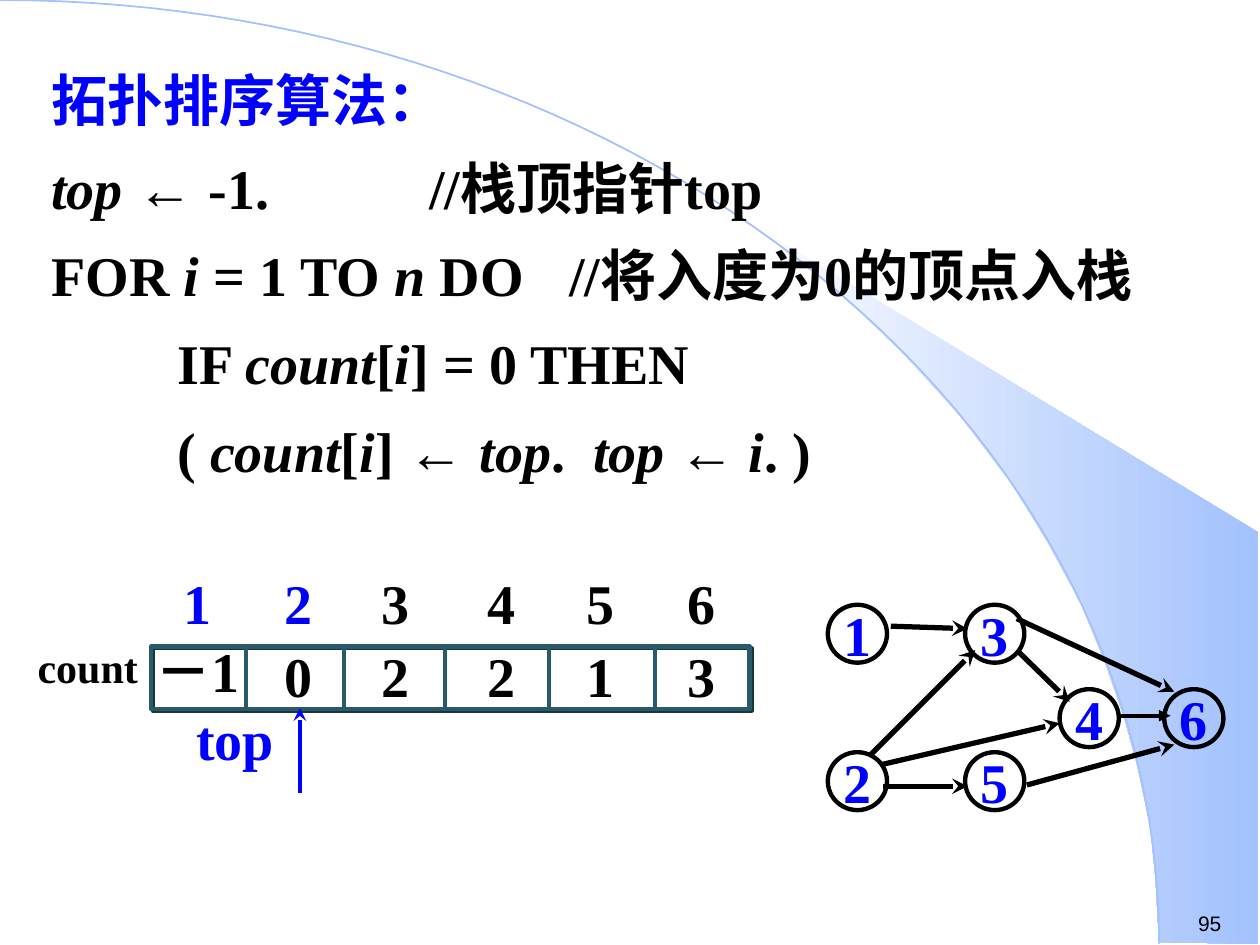
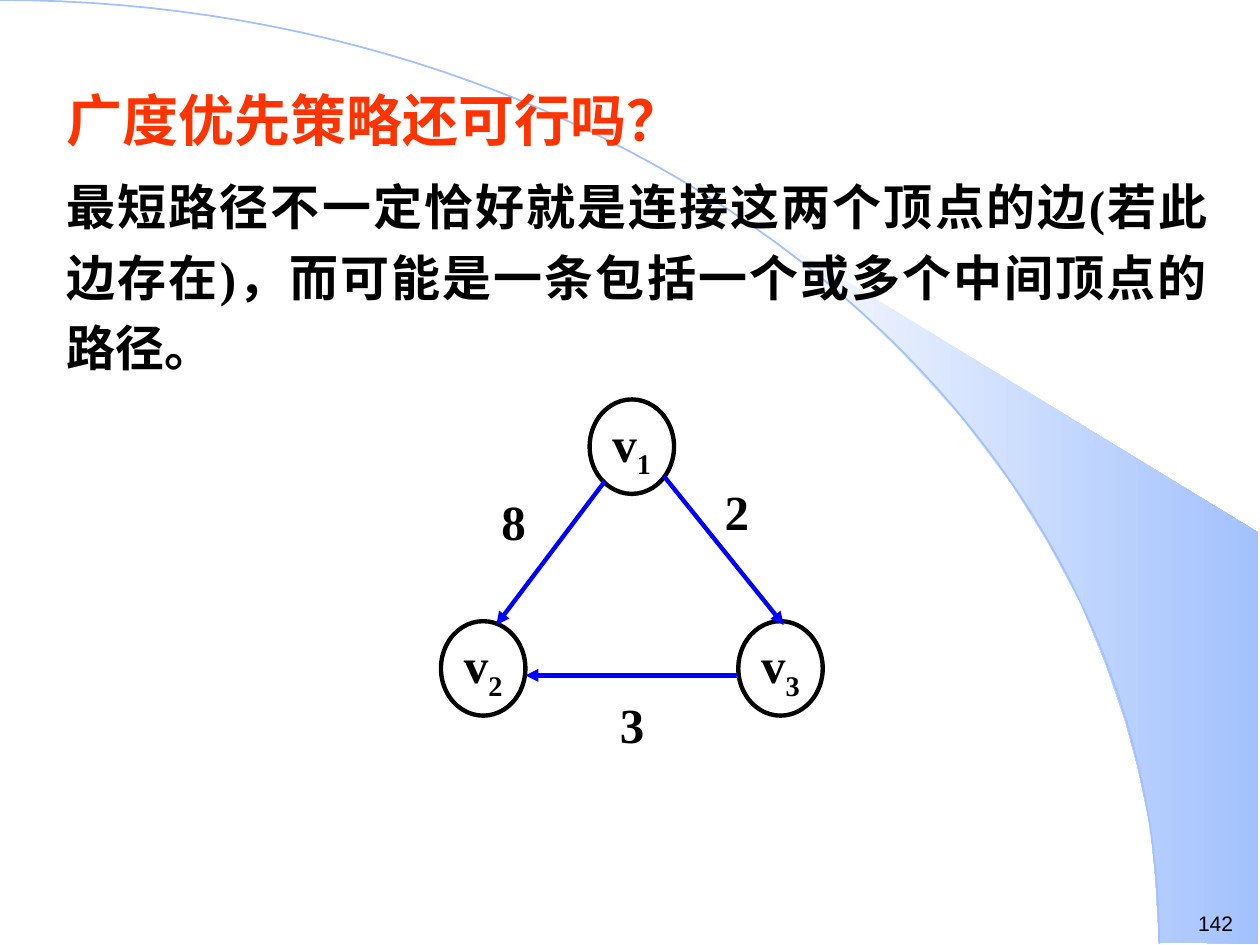
from dataclasses import dataclass
from math import cos, pi, sin

from lxml.etree import SubElement as Sub
from pptx import Presentation
from pptx.dml.color import RGBColor as RGB
from pptx.enum.shapes import MSO_CONNECTOR as LINK, MSO_SHAPE as SHAPE
from pptx.enum.text import MSO_ANCHOR as ANCHOR, PP_ALIGN as ALIGN
from pptx.oxml.ns import qn
from pptx.util import Inches, Pt

COLORS = {
    "black": "000000", "white": "FFFFFF", "blue": "0000FF", "red": "FF3300",
    "sky": "A2C1FE", "teal": "295A69", "shade": "19363F",
}
SERIF, SANS = "Times New Roman", "Arial"
VARS = {"top", "i", "n", "count"}


@dataclass
class Label:
    text: str
    x: float
    y: float
    w: float
    h: float = 0.64
    size: float = 32
    color: str = "black"
    align: ALIGN = ALIGN.LEFT
    inset: float = 0.1
    face: str = SERIF
    bold: bool = True


@dataclass
class Node:
    name: str
    x: float
    y: float
    w: float = 0.47
    h: float = 0.46
    size: float = 32
    color: str = "blue"
    sub: str = ""


@dataclass
class Edge:
    x1: float
    y1: float
    x2: float
    y2: float
    width: float = 3
    color: str = "black"
    head: str = "stealth"


def rgb(name: str) -> RGB:
    return RGB.from_string(COLORS[name])


def style(para, size: float, color: str, face: str = SERIF, bold: bool = True) -> None:
    font = para.font
    font.name, font.size, font.bold = face, Pt(size), bold
    font.color.rgb = rgb(color)


def setup(frame, side: float, edge: float, anchor: ANCHOR) -> None:
    frame.word_wrap = True
    frame.vertical_anchor = anchor
    frame.margin_left = frame.margin_right = Inches(side)
    frame.margin_top = frame.margin_bottom = Inches(edge)


def outline(shape, color: str, width: float) -> None:
    shape.fill.background()
    shape.line.color.rgb = rgb(color)
    shape.line.width = Pt(width)
    shape.shadow.inherit = False


def add_label(slide, item: Label):
    box = slide.shapes.add_textbox(*map(Inches, (item.x, item.y, item.w, item.h)))
    setup(box.text_frame, item.inset, item.inset / 2, ANCHOR.TOP)
    para = box.text_frame.paragraphs[0]
    para.text = item.text
    para.alignment = item.align
    style(para, item.size, item.color, item.face, item.bold)
    return box


def add_node(slide, node: Node) -> None:
    oval = slide.shapes.add_shape(
        SHAPE.OVAL, *map(Inches, (node.x, node.y, node.w, node.h)))
    outline(oval, "black", 2.5)
    setup(oval.text_frame, 0, 0, ANCHOR.MIDDLE)
    para = oval.text_frame.paragraphs[0]
    para.alignment = ALIGN.CENTER
    style(para, node.size, node.color)
    para.add_run().text = node.name
    if node.sub:
        low = para.add_run()
        low.text = node.sub
        low.font.bold = True
        oval.element.xpath(".//a:rPr")[-1].set("baseline", "-25000")


def add_edge(slide, edge: Edge) -> None:
    ends = map(Inches, (edge.x1, edge.y1, edge.x2, edge.y2))
    link = slide.shapes.add_connector(LINK.STRAIGHT, *ends)
    link.line.color.rgb = rgb(edge.color)
    link.line.width = Pt(edge.width)
    if edge.head:
        Sub(link.line._get_or_add_ln(), qn("a:tailEnd"), type=edge.head)
    Sub(link.element.spPr, qn("a:effectLst"))


def add_path(slide, points: list, close: bool):
    start, *rest = [(Inches(x), Inches(y)) for x, y in points]
    pen = slide.shapes.build_freeform(*start)
    pen.add_line_segments(rest, close=close)
    shape = pen.convert_to_shape()
    shape.shadow.inherit = False
    return shape


def set_backdrop(layout, slide) -> None:
    """Draw the band and arc once and move them to the shared layout."""
    for spot in list(layout.placeholders):
        if spot.placeholder_format.idx >= 10:
            spot.element.getparent().remove(spot.element)
    band = add_path(slide, [
        (9.2, 7.48), (9.99, 7.49), (9.99, 4.23), (5.89, 1.73), (6.24, 1.99),
        (6.53, 2.22), (6.85, 2.5), (7.16, 2.8), (7.62, 3.3), (8.03, 3.84),
        (8.32, 4.31), (8.58, 4.79), (8.78, 5.28), (8.93, 5.72), (9.03, 6.09),
        (9.13, 6.56), (9.17, 6.96)], True)
    band.fill.gradient()
    band.fill.gradient_angle = 0
    for stop, name in zip(band.fill.gradient_stops, ("white", "sky")):
        stop.color.rgb = rgb(name)
    band.line.fill.background()
    steps = 60
    turns = [pi / 2 * k / steps for k in range(steps + 1)]
    arc = add_path(slide, [(9.2 * sin(t), 7.49 * (1 - cos(t))) for t in turns], False)
    outline(arc, "sky", 1)
    for shape in (band, arc):
        layout.shapes.element.append(shape.element)


def add_title(slide, text: str, x: float, y: float, color: str) -> None:
    title = slide.shapes.title
    title.left, title.top, title.width, title.height = map(Inches, (x, y, 9.14, 0.7))
    setup(title.text_frame, 0.1, 0.05, ANCHOR.TOP)
    para = title.text_frame.paragraphs[0]
    para.text = text
    para.alignment = ALIGN.LEFT
    para.line_spacing = 1.2
    style(para, 32, color)


def add_page(slide, number: int) -> None:
    add_label(slide, Label(str(number), 9.41, 7.18, 0.59, 0.3, 12, face=SANS, bold=False))


def add_code(slide, lines: list, x: float, y: float) -> None:
    """Write code lines; bars part the runs, and variables are italic."""
    box = slide.shapes.add_textbox(*map(Inches, (x, y, 9.14, 2.82)))
    frame = box.text_frame
    setup(frame, 0.1, 0.05, ANCHOR.TOP)
    for row, line in enumerate(lines):
        para = frame.add_paragraph() if row else frame.paragraphs[0]
        tabs = Sub(box.element.xpath(".//a:p")[-1].get_or_add_pPr(), qn("a:tabLst"))
        for stop in range(1, 8):
            Sub(tabs, qn("a:tab"), pos=str(Inches(stop)), algn="l")
        para.line_spacing = 1.2
        if row:
            para.space_before = Pt(4)
        style(para, 32, "black")
        for part in line.split("|"):
            run = para.add_run()
            run.text = part
            run.font.italic = part.strip() in VARS
            run.font.name = SANS if "←" in part else SERIF


def add_array(slide) -> None:
    """Draw the count array with its index row and stack pointer."""
    top, high = 5.13, 0.5
    frame = slide.shapes.add_shape(SHAPE.RECTANGLE, *map(Inches, (1.2, top, 4.75, high)))
    outline(frame, "teal", 2.5)
    cast = Sub(frame.element.spPr.find(qn("a:effectLst")), qn("a:outerShdw"),
               dist=str(Pt(1.4)), dir="2700000", algn="ctr", rotWithShape="0")
    Sub(cast, qn("a:srgbClr"), val=COLORS["shade"])
    for x in (1.95, 2.73, 3.53, 4.36, 5.2):
        add_edge(slide, Edge(x, top, x, top + high, 2.25, "teal", ""))
    mids = (1.57, 2.37, 3.14, 3.98, 4.77, 5.57)
    for index, (mid, value) in enumerate(zip(mids, ("－1", "0", "2", "2", "1", "3")), 1):
        tone = "blue" if index < 3 else "black"
        drop = 5 if index == 1 else 5.04
        for text, y, color in ((str(index), 4.46, tone), (value, drop, "black")):
            add_label(slide, Label(text, mid - 0.54, y, 1.08, color=color, align=ALIGN.CENTER))
    add_label(slide, Label("count", 0.2, 5.04, 1.25, 0.5, 24))
    add_label(slide, Label("top", 1.46, 5.54, 1, color="blue"))
    add_edge(slide, Edge(2.38, 6.29, 2.38, 5.62, 2.5, "blue"))


def build_sort(slide) -> None:
    add_title(slide, "拓扑排序算法：", 0.31, 0.36, "blue")
    add_array(slide)
    add_code(slide, [
        "top |← |-1.\t\t//栈顶指针top",
        "FOR |i |= 1 TO |n| DO\t //将入度为0的顶点入栈",
        "\tIF |count|[|i|] = 0 THEN",
        "\t( |count|[|i|] |← |top|.  |top |←| i|. )",
    ], 0.31, 1.06)
    # Directed graph
    for node in (Node("1", 6.57, 4.8), Node("3", 7.66, 4.8), Node("4", 8.41, 5.47),
                 Node("6", 9.24, 5.47), Node("2", 6.57, 5.97), Node("5", 7.66, 5.97)):
        add_node(slide, node)
    for edge in (Edge(7.07, 4.97, 7.68, 4.99), Edge(7.01, 6.24, 7.68, 6.24),
                 Edge(6.99, 6.07, 8.41, 5.74), Edge(6.91, 5.99, 7.74, 5.16),
                 Edge(8.07, 5.16, 8.49, 5.57), Edge(8.15, 6.23, 9.32, 5.91),
                 Edge(8.07, 4.91, 9.32, 5.49),
                 Edge(8.89, 5.68, 9.29, 5.68, 2.25, head="triangle")):
        add_edge(slide, edge)
    add_page(slide, 95)


def build_path(slide) -> None:
    add_title(slide, "广度优先策略还可行吗？", 0.43, 0.52, "red")
    body = add_label(slide, Label(
        "最短路径不一定恰好就是连接这两个顶点的边(若此边存在)，"
        "而可能是一条包括一个或多个中间顶点的路径。",
        0.43, 1.26, 9.25, 1.9, 28, align=ALIGN.JUSTIFY))
    body.text_frame.paragraphs[0].line_spacing = 1.2
    # Weighted triangle
    for sub, x, y in (("1", 4.68, 3.17), ("2", 3.5, 4.93), ("3", 5.86, 4.93)):
        add_node(slide, Node("v", x, y, 0.67, 0.75, 28, "black", sub))
    for ends in ((4.8, 3.82, 3.94, 4.96), (5.27, 3.78, 6.22, 4.96),
                 (5.86, 5.36, 4.17, 5.36)):
        add_edge(slide, Edge(*ends, 2.5, "blue", "triangle"))
    for cost, x, y in (("2", 5.75, 3.82), ("8", 3.98, 3.9), ("3", 4.92, 5.51)):
        add_label(slide, Label(cost, x, y, 0.28, 0.47, 28, inset=0))
    add_page(slide, 142)


def main() -> None:
    deck = Presentation()
    deck.slide_width, deck.slide_height = Inches(10), Inches(7.5)
    layout = deck.slide_layouts[5]
    first, second = (deck.slides.add_slide(layout) for _ in range(2))
    set_backdrop(layout, first)
    build_sort(first)
    build_path(second)
    deck.save("out.pptx")


if __name__ == "__main__":
    main()
